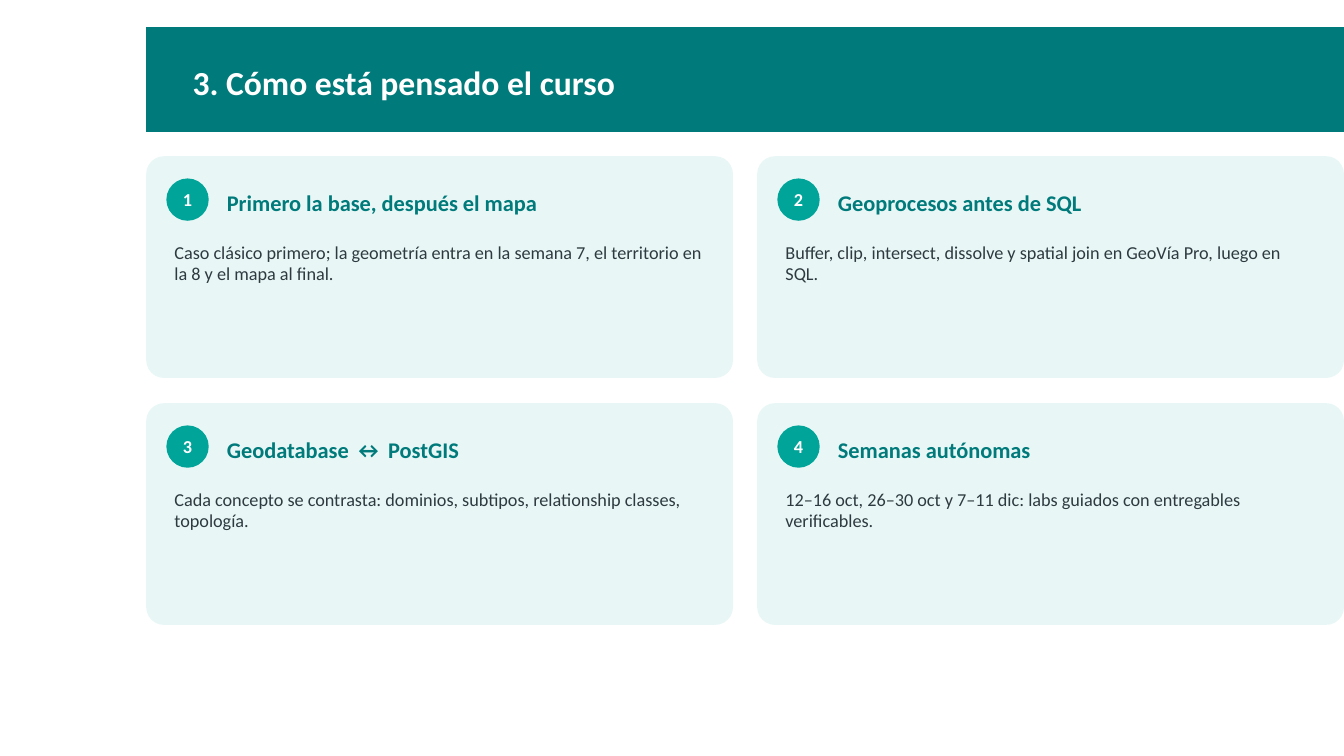
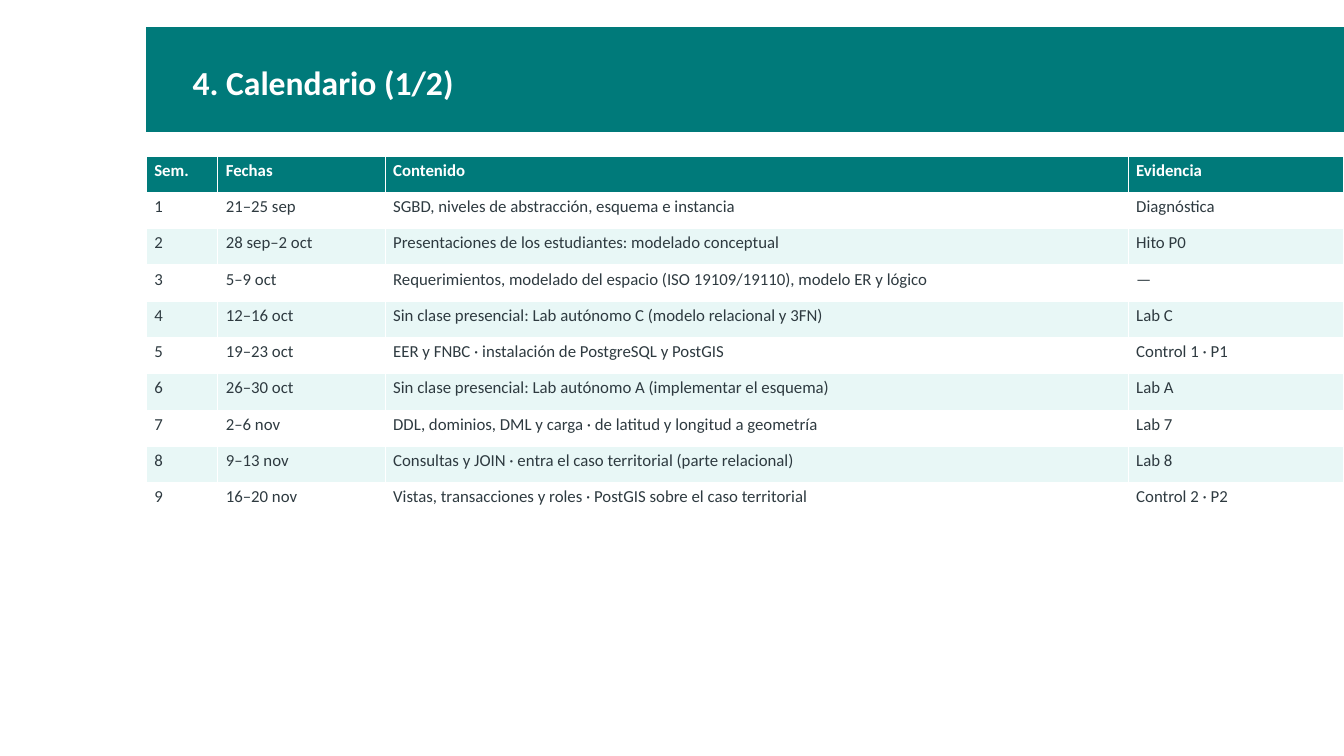
"""Build two course slides: the design principles and the calendar."""
import collections

import pptx
import pptx.dml.color
import pptx.enum.shapes
import pptx.enum.text
import pptx.util

Inches = pptx.util.Inches
Pt = pptx.util.Pt
SHAPES = pptx.enum.shapes.MSO_SHAPE
ANCHOR = pptx.enum.text.MSO_ANCHOR
ALIGN = pptx.enum.text.PP_ALIGN
Box = collections.namedtuple("Box", "left top width height")

COLORS = {
    "teal": "007A7A",
    "accent": "00A499",
    "pale": "E8F7F6",
    "ink": "2E3A40",
    "white": "FFFFFF",
}
FONT = "Calibri"
SLIDE_WIDTH, SLIDE_HEIGHT = 13.33, 7.5
MARGIN = 1.45
CONTENT_WIDTH = SLIDE_WIDTH - MARGIN
BAND = Box(MARGIN, 0.27, CONTENT_WIDTH, 1.04)
CONTENT = Box(MARGIN, 1.55, CONTENT_WIDTH, 4.65)
GAP_X, GAP_Y = 0.24, 0.25
PAD_X, PAD_Y = 0.08, 0.04

CARDS = [
    ("Primero la base, después el mapa",
     "Caso clásico primero; la geometría entra en la semana 7, "
     "el territorio en la 8 y el mapa al final."),
    ("Geoprocesos antes de SQL",
     "Buffer, clip, intersect, dissolve y spatial join en GeoVía Pro, luego en SQL."),
    ("Geodatabase ↔ PostGIS",
     "Cada concepto se contrasta: dominios, subtipos, relationship classes, topología."),
    ("Semanas autónomas",
     "12–16 oct, 26–30 oct y 7–11 dic: labs guiados con entregables verificables."),
]

COLUMN_WIDTHS = [0.71, 1.66, 7.37, 2.14]
ROW_HEIGHT = 0.36
CALENDAR = [
    ("Sem.", "Fechas", "Contenido", "Evidencia"),
    ("1", "21–25 sep", "SGBD, niveles de abstracción, esquema e instancia", "Diagnóstica"),
    ("2", "28 sep–2 oct", "Presentaciones de los estudiantes: modelado conceptual", "Hito P0"),
    ("3", "5–9 oct",
     "Requerimientos, modelado del espacio (ISO 19109/19110), modelo ER y lógico", "—"),
    ("4", "12–16 oct",
     "Sin clase presencial: Lab autónomo C (modelo relacional y 3FN)", "Lab C"),
    ("5", "19–23 oct", "EER y FNBC · instalación de PostgreSQL y PostGIS", "Control 1 · P1"),
    ("6", "26–30 oct",
     "Sin clase presencial: Lab autónomo A (implementar el esquema)", "Lab A"),
    ("7", "2–6 nov",
     "DDL, dominios, DML y carga · de latitud y longitud a geometría", "Lab 7"),
    ("8", "9–13 nov",
     "Consultas y JOIN · entra el caso territorial (parte relacional)", "Lab 8"),
    ("9", "16–20 nov",
     "Vistas, transacciones y roles · PostGIS sobre el caso territorial", "Control 2 · P2"),
]


def rgb(name):
    """Return the palette colour of that name."""
    return pptx.dml.color.RGBColor.from_string(COLORS[name])


def emu(box):
    """Return the box in slide units."""
    return [Inches(length) for length in box]


def set_margins(holder):
    """Give a text frame or a table cell the shared inner margins."""
    holder.margin_left = holder.margin_right = Inches(PAD_X)
    holder.margin_top = holder.margin_bottom = Inches(PAD_Y)


def write(frame, text, size, color, bold=False, align=ALIGN.LEFT):
    """Write one styled paragraph into a text frame."""
    frame.text = text
    para = frame.paragraphs[0]
    para.alignment = align
    for span in para.runs:
        span.font.name = FONT
        span.font.size = Pt(size)
        span.font.bold = bold
        span.font.color.rgb = rgb(color)


def add_panel(page, kind, box, color):
    """Add a flat filled shape without outline or shadow."""
    panel = page.shapes.add_shape(kind, *emu(box))
    panel.shadow.inherit = False
    panel.fill.solid()
    panel.fill.fore_color.rgb = rgb(color)
    panel.line.fill.background()
    set_margins(panel.text_frame)
    panel.text_frame.vertical_anchor = ANCHOR.MIDDLE
    return panel


def add_text(page, box, text, size, color, bold=False, anchor=ANCHOR.TOP):
    """Add a wrapping text box."""
    frame = page.shapes.add_textbox(*emu(box)).text_frame
    frame.word_wrap = True
    frame.vertical_anchor = anchor
    set_margins(frame)
    write(frame, text, size, color, bold)


def add_page(deck, title):
    """Add a blank page with the shared title band."""
    page = deck.slides.add_slide(deck.slide_layouts[6])
    frame = add_panel(page, SHAPES.RECTANGLE, BAND, "teal").text_frame
    frame.margin_left = Inches(0.46)
    frame.margin_top = Inches(0.09)
    write(frame, title, 24, "white", bold=True)
    return page


def add_card(page, box, number, heading, body):
    """Add a rounded card with a numbered badge, heading and body."""
    card = add_panel(page, SHAPES.ROUNDED_RECTANGLE, box, "pale")
    card.adjustments[0] = 0.08
    left, top = box.left + 0.2, box.top
    badge = add_panel(page, SHAPES.OVAL, Box(left, top + 0.22, 0.42, 0.42), "accent")
    badge.text_frame.word_wrap = False
    write(badge.text_frame, str(number), 13, "white", bold=True, align=ALIGN.CENTER)
    add_text(page, Box(left + 0.52, top + 0.18, box.width - 0.9, 0.55),
             heading, 16, "teal", bold=True, anchor=ANCHOR.MIDDLE)
    add_text(page, Box(left, top + 0.8, box.width - 0.4, box.height - 0.9),
             body, 13, "ink")


def add_card_grid(page, box, cards, columns=2):
    """Lay the cards out in equal columns and rows inside the box."""
    rows = -(-len(cards) // columns)
    width = (box.width - GAP_X * (columns - 1)) / columns
    height = (box.height - GAP_Y * (rows - 1)) / rows
    for index, (heading, body) in enumerate(cards):
        row, column = divmod(index, columns)
        cell = Box(box.left + column * (width + GAP_X),
                   box.top + row * (height + GAP_Y), width, height)
        add_card(page, cell, index + 1, heading, body)


def add_calendar(page, box, entries):
    """Add the calendar table with a header and alternating rows."""
    area = box._replace(height=ROW_HEIGHT * len(entries))
    table = page.shapes.add_table(len(entries), len(COLUMN_WIDTHS), *emu(area)).table
    for column, width in zip(table.columns, COLUMN_WIDTHS):
        column.width = Inches(width)
    for index, entry in enumerate(entries):
        header = index == 0
        fill = "teal" if header else ("white" if index % 2 else "pale")
        for cell, text in zip(table.rows[index].cells, entry):
            set_margins(cell)
            cell.fill.solid()
            cell.fill.fore_color.rgb = rgb(fill)
            write(cell.text_frame, text, 12, "white" if header else "ink", bold=header)


def main():
    """Build and save the deck."""
    deck = pptx.Presentation()
    deck.slide_width = Inches(SLIDE_WIDTH)
    deck.slide_height = Inches(SLIDE_HEIGHT)
    add_card_grid(add_page(deck, "3. Cómo está pensado el curso"), CONTENT, CARDS)
    add_calendar(add_page(deck, "4. Calendario (1/2)"), CONTENT, CALENDAR)
    deck.save("out.pptx")


if __name__ == "__main__":
    main()
